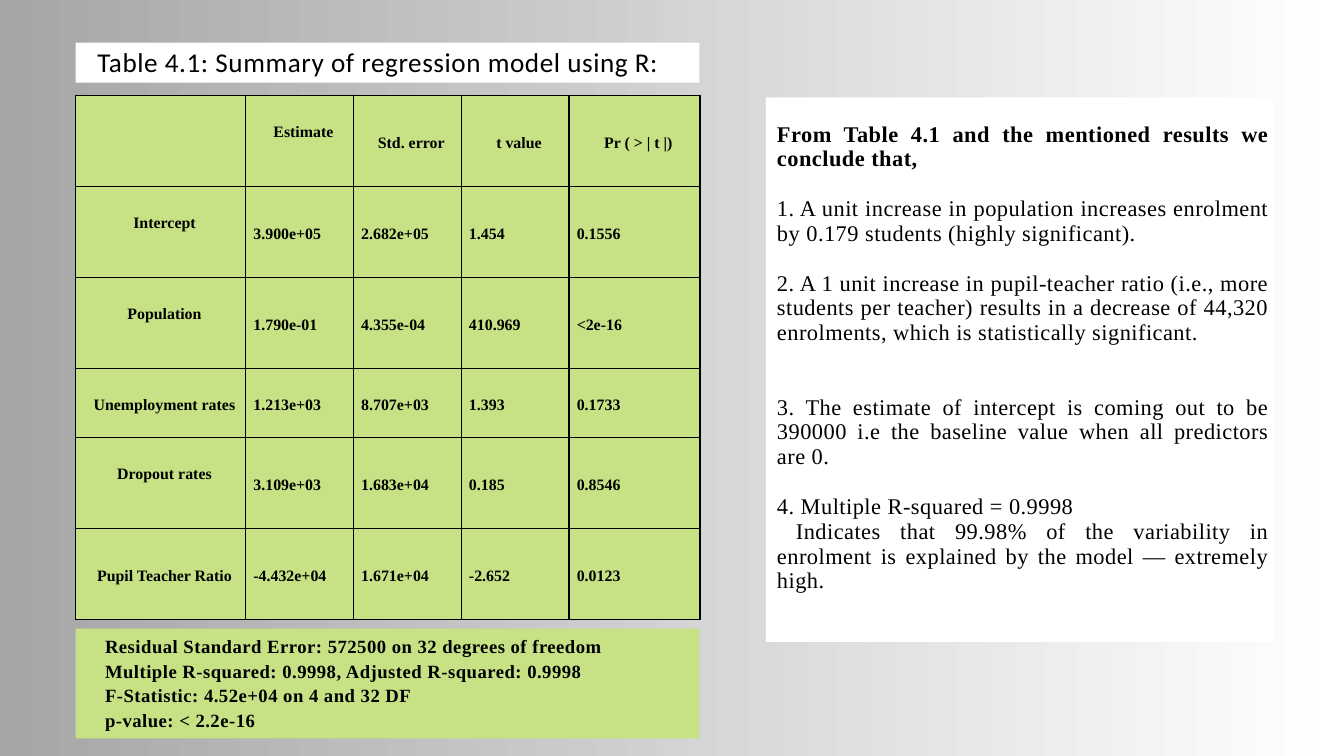
"""Build the regression summary slide with its results table and conclusions."""
from lxml import etree
from pptx import Presentation
from pptx.dml.color import RGBColor
from pptx.enum.shapes import MSO_SHAPE
from pptx.enum.text import MSO_ANCHOR, PP_ALIGN
from pptx.oxml.ns import qn
from pptx.util import Pt

PX = 9525
RECTANGLE = MSO_SHAPE.RECTANGLE
MIDDLE = MSO_ANCHOR.MIDDLE
LEFT, CENTER, JUSTIFY = PP_ALIGN.LEFT, PP_ALIGN.CENTER, PP_ALIGN.JUSTIFY

LINE = 26.6
COLUMN_WIDTHS = [243, 154, 154, 154, 187]
ROW_HEIGHTS = [130, 130, 130, 99, 130, 130]
ROWS = [
    ["", "Estimate", "Std. error", "t value", "Pr ( > | t |)"],
    ["Intercept", "3.900e+05", "2.682e+05", "1.454", "0.1556"],
    ["Population", "1.790e-01", "4.355e-04", "410.969", "<2e-16"],
    ["Unemployment rates", "1.213e+03", "8.707e+03", "1.393", "0.1733"],
    ["Dropout rates", "3.109e+03", "1.683e+04", "0.185", "0.8546"],
    ["Pupil Teacher Ratio", "-4.432e+04", "1.671e+04", "-2.652", "0.0123"],
]
RAISED = {"Estimate", "Intercept", "Population", "Dropout rates"}
FIT_STATISTICS = [
    "Residual Standard Error: 572500 on 32 degrees of freedom",
    "Multiple R-squared: 0.9998, Adjusted R-squared: 0.9998",
    "F-Statistic: 4.52e+04 on 4 and 32 DF",
    "p-value: < 2.2e-16",
]
CONCLUSIONS = [
    ("From Table 4.1 and the mentioned results we conclude that,", {"bold": True}),
    ("1. A unit increase in population increases enrolment by 0.179 students "
     "(highly significant).", {"before": LINE}),
    ("2. A 1 unit increase in pupil-teacher ratio (i.e., more students per teacher) "
     "results in a decrease of 44,320 enrolments, which is statistically significant.",
     {"before": LINE}),
    ("3. The estimate of intercept is coming out to be 390000 i.e the baseline value "
     "when all predictors are 0.", {"before": 2 * LINE}),
    ("4. Multiple R-squared = 0.9998", {"before": LINE}),
    ("Indicates that 99.98% of the variability in enrolment is explained by the model "
     "— extremely high.", {"indent": 27}),
]


def color(value):
    return RGBColor.from_string(value)


def write(paragraph, text, size=24, font="Times New Roman", bold=False, align=JUSTIFY,
          line=LINE, before=0, indent=0, tracking=0, ink="000000"):
    paragraph.alignment = align
    paragraph.line_spacing = Pt(line)
    paragraph.space_before = Pt(before)
    if indent:
        paragraph._p.get_or_add_pPr().set("indent", str(indent * PX))
    run = paragraph.add_run()
    run.text = text
    run.font.size = Pt(size)
    run.font.name = font
    run.font.bold = bold
    run.font.color.rgb = color(ink)
    if tracking:
        run._r.get_or_add_rPr().set("spc", str(round(tracking * 100)))


class SlideBuilder:
    def __init__(self, slide):
        self.slide = slide
        self.green = "C6E284"
        self.white = "FFFFFF"
        self.border = "000000"
        self.border_width = 1.5

    def background(self, start, end):
        fill = self.slide.background.fill
        fill.gradient()
        fill.gradient_angle = 0
        for stop, value in zip(fill.gradient_stops, (start, end)):
            stop.color.rgb = color(value)

    def panel(self, left, top, width, height, fill):
        shape = self.slide.shapes.add_shape(
            RECTANGLE, left * PX, top * PX, width * PX, height * PX)
        shape.shadow.inherit = False
        shape.fill.solid()
        shape.fill.fore_color.rgb = color(fill)
        shape.line.fill.background()

    def text(self, left, top, width, height, paragraphs, **style):
        box = self.slide.shapes.add_textbox(left * PX, top * PX, width * PX, height * PX)
        frame = box.text_frame
        frame.word_wrap = True
        frame.margin_left = frame.margin_right = frame.margin_top = frame.margin_bottom = 0
        for index, (text, extra) in enumerate(paragraphs):
            paragraph = frame.add_paragraph() if index else frame.paragraphs[0]
            write(paragraph, text, **{**style, **extra})

    def cell(self, cell, text, align):
        cell.fill.solid()
        cell.fill.fore_color.rgb = color(self.green)
        cell.vertical_anchor = MIDDLE
        cell.margin_left = 11 * PX
        cell.margin_right = cell.margin_top = 0
        cell.margin_bottom = 32 * PX if text in RAISED else 0
        if text:
            write(cell.text_frame.paragraphs[0], text, size=17, bold=True,
                  align=align, line=23.8)
        properties = cell._tc.get_or_add_tcPr()
        for position, side in enumerate(("a:lnL", "a:lnR", "a:lnT", "a:lnB")):
            edge = etree.Element(qn(side), w=str(Pt(self.border_width)))
            fill = etree.SubElement(edge, qn("a:solidFill"))
            etree.SubElement(fill, qn("a:srgbClr"), val=self.border)
            properties.insert(position, edge)

    def table(self, left, top, rows, widths, heights):
        table = self.slide.shapes.add_table(
            len(rows), len(widths), left * PX, top * PX,
            sum(widths) * PX, sum(heights) * PX).table
        for column, width in zip(table.columns, widths):
            column.width = width * PX
        for row_index, (values, height) in enumerate(zip(rows, heights)):
            table.rows[row_index].height = height * PX
            for column_index, value in enumerate(values):
                is_label = row_index == 0 or column_index == 0
                self.cell(table.cell(row_index, column_index), value,
                          CENTER if is_label else LEFT)


def main():
    presentation = Presentation()
    presentation.slide_width = 1920 * PX
    presentation.slide_height = 1080 * PX
    builder = SlideBuilder(presentation.slides.add_slide(presentation.slide_layouts[6]))

    builder.background("A6A6A6", "FFFFFF")
    builder.table(108, 136, ROWS, COLUMN_WIDTHS, ROW_HEIGHTS)

    builder.panel(108, 61, 891, 57, builder.white)
    builder.text(108, 68, 864, 44, [("Table 4.1: Summary of regression model using R:", {})],
                 size=29.1, font="Calibri", align=CENTER, line=32.3, tracking=0.6)

    builder.panel(108, 898, 891, 157, builder.green)
    builder.text(150, 903, 810, 146, [(text, {}) for text in FIT_STATISTICS],
                 size=20, bold=True, tracking=0.5)

    builder.panel(1094, 139, 725, 778, builder.white)
    builder.text(1110, 174, 703, 706, CONCLUSIONS, tracking=0.5)

    presentation.save("out.pptx")


if __name__ == "__main__":
    main()
